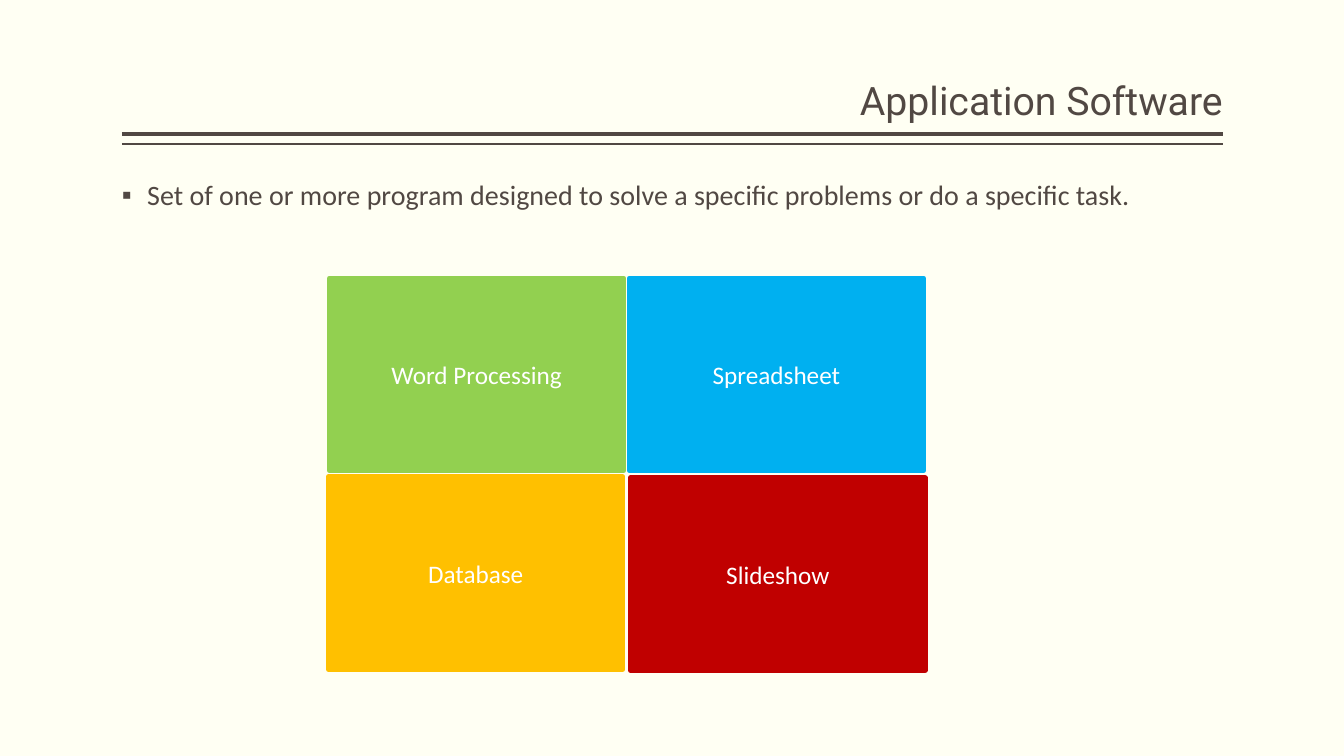
from lxml import etree
from pptx import Presentation
from pptx.dml.color import RGBColor
from pptx.enum.shapes import MSO_CONNECTOR, MSO_SHAPE
from pptx.enum.text import MSO_ANCHOR, MSO_AUTO_SIZE, PP_ALIGN
from pptx.oxml.ns import qn
from pptx.util import Pt

STRAIGHT = MSO_CONNECTOR.STRAIGHT
RECTANGLE = MSO_SHAPE.RECTANGLE
TOP, MIDDLE, BOTTOM = MSO_ANCHOR.TOP, MSO_ANCHOR.MIDDLE, MSO_ANCHOR.BOTTOM
LEFT, CENTER, RIGHT = PP_ALIGN.LEFT, PP_ALIGN.CENTER, PP_ALIGN.RIGHT

CREAM = RGBColor(0xFF, 0xFF, 0xF3)
BROWN = RGBColor(0x51, 0x48, 0x43)
WHITE = RGBColor(0xFF, 0xFF, 0xFF)
GREEN = RGBColor(0x92, 0xD0, 0x50)
BLUE = RGBColor(0x00, 0xB0, 0xF0)
AMBER = RGBColor(0xFF, 0xC0, 0x00)
RED = RGBColor(0xC0, 0x00, 0x00)

# Content
TITLE = "Application Software"
DEFINITION = "Set of one or more program designed to solve a specific problems or do a specific task."
APPLICATIONS = [  # name, colour, left, top
    ("Word Processing", GREEN, 235.4, 198.7),
    ("Spreadsheet", BLUE, 449.5, 198.7),
    ("Database", AMBER, 234.7, 340.6),
    ("Slideshow", RED, 450.5, 341.3),
]
RULES = [(95.8, 3), (102.8, 1)]  # height on the slide, line width

# Layout
MARGIN, CONTENT_WIDTH = 87.1, 786.2
TILE_WIDTH, TILE_HEIGHT, TILE_BORDER = 210.2, 137.5, 3.78
BULLET_INDENT = 18


def format_text(paragraph, font_name, size, color, alignment):
    paragraph.alignment = alignment
    paragraph.font.name = font_name
    paragraph.font.size = Pt(size)
    paragraph.font.color.rgb = color


def fill_placeholder(placeholder, text, top, height, anchor):
    placeholder.left, placeholder.top = Pt(MARGIN), Pt(top)
    placeholder.width, placeholder.height = Pt(CONTENT_WIDTH), Pt(height)
    frame = placeholder.text_frame
    frame.text = text
    frame.word_wrap = True
    frame.auto_size = MSO_AUTO_SIZE.NONE
    frame.vertical_anchor = anchor
    frame.margin_left = frame.margin_right = 0
    frame.margin_top = frame.margin_bottom = Pt(3.6)
    paragraph = frame.paragraphs[0]
    paragraph.line_spacing = 0.9
    return paragraph


presentation = Presentation()
presentation.slide_width, presentation.slide_height = Pt(960), Pt(540)
slide = presentation.slides.add_slide(presentation.slide_layouts[1])
slide.background.fill.solid()
slide.background.fill.fore_color.rgb = CREAM

# Double rule under the title
for height, width in RULES:
    rule = slide.shapes.add_connector(
        STRAIGHT, Pt(MARGIN), Pt(height), Pt(MARGIN + CONTENT_WIDTH), Pt(height))
    rule.line.color.rgb = BROWN
    rule.line.width = Pt(width)
    etree.SubElement(rule._element.spPr, qn("a:effectLst"))

# Title
heading = fill_placeholder(slide.shapes.title, TITLE, 5.8, 86.4, BOTTOM)
format_text(heading, "Roboto", 28, BROWN, RIGHT)

# Bulleted definition
definition = fill_placeholder(slide.placeholders[1], DEFINITION, 126, 360, TOP)
format_text(definition, "Calibri", 20, BROWN, LEFT)
definition.space_before = Pt(18)
properties = definition._p.get_or_add_pPr()
properties.set("marL", str(Pt(BULLET_INDENT)))
properties.set("indent", str(-Pt(BULLET_INDENT)))
bullet = etree.Element(qn("a:buChar"), char="▪")
properties.find(qn("a:defRPr")).addprevious(bullet)

# Application tiles
for name, color, left, top in APPLICATIONS:
    tile = slide.shapes.add_shape(
        RECTANGLE, Pt(left), Pt(top), Pt(TILE_WIDTH), Pt(TILE_HEIGHT))
    tile.shadow.inherit = False
    tile.fill.solid()
    tile.fill.fore_color.rgb = color
    tile.line.color.rgb = color
    tile.line.width = Pt(TILE_BORDER)
    tile.text_frame.text = name
    tile.text_frame.word_wrap = True
    tile.text_frame.vertical_anchor = MIDDLE
    format_text(tile.text_frame.paragraphs[0], "Calibri", 18, WHITE, CENTER)

presentation.save("out.pptx")
